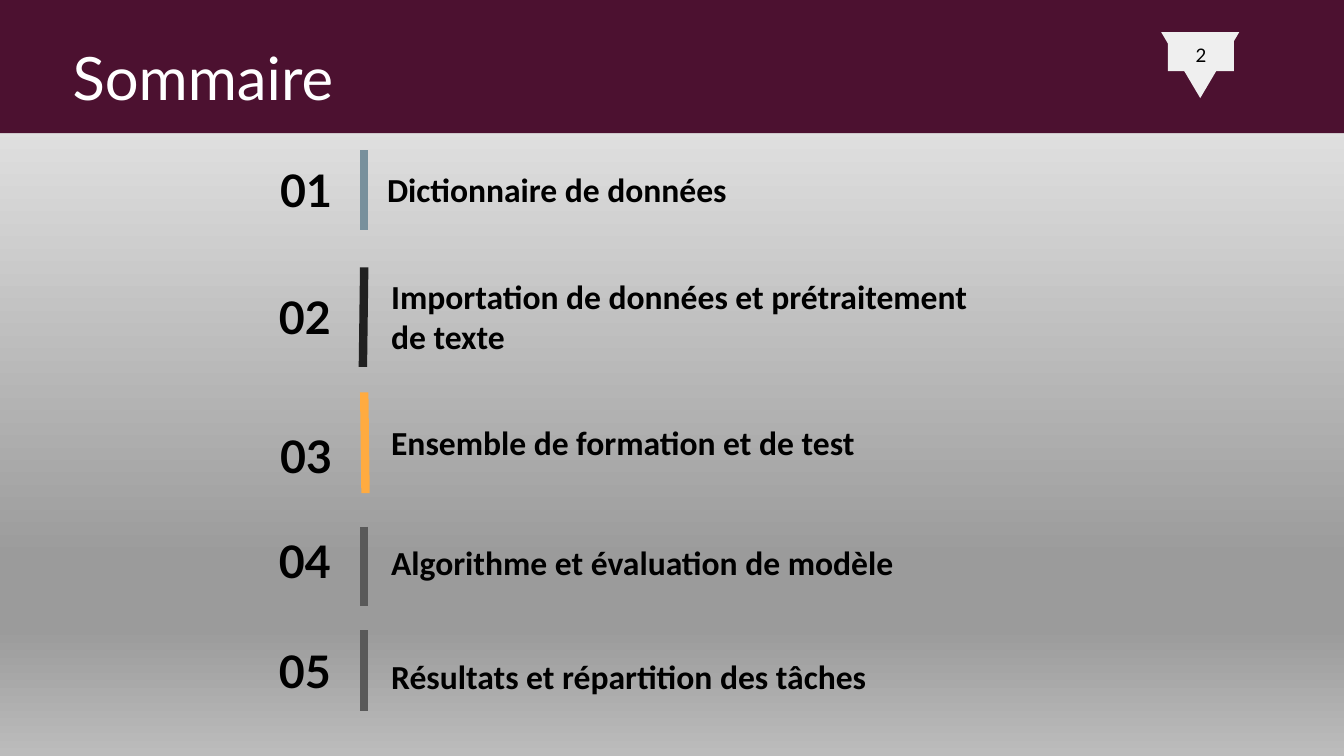
from dataclasses import dataclass

from lxml import etree
from pptx import Presentation
from pptx import util as u
from pptx.dml import color
from pptx.enum import shapes, text
from pptx.oxml import ns

BLACK, WHITE, PLUM, PALE = "000000", "FFFFFF", "4C1130", "EFEFEF"
BACKGROUND = [(0, "F4F4F4"), (74, "9B9B9B"), (83, "9B9B9B"), (100, "BCBCBC")]
PAGE_WIDTH = 10
PAGE_HEIGHT = PAGE_WIDTH * 9 / 16


@dataclass
class Box:
    left: float
    top: float
    width: float
    height: float

    def lengths(self) -> list:
        return [u.Inches(v) for v in (self.left, self.top, self.width, self.height)]


@dataclass
class Entry:
    label: str
    label_box: Box
    number_box: Box
    bar_start: tuple[float, float]
    bar_end: tuple[float, float]
    bar_color: str


ENTRIES = [
    Entry("Dictionnaire de données", Box(2.81, 1.22, 4.53, 0.39),
          Box(1.98, 1.16, 0.59, 0.5), (2.71, 1.12), (2.71, 1.71), "78909C"),
    Entry("Importation de données et prétraitement de texte", Box(2.84, 2.01, 4.7, 0.76),
          Box(1.85, 2.11, 0.71, 0.5), (2.71, 1.99), (2.7, 2.73), "212121"),
    Entry("Ensemble de formation et de test", Box(2.84, 3.1, 4.82, 0.29),
          Box(1.68, 3.14, 0.89, 0.5), (2.71, 2.92), (2.72, 3.67), "FFAB40"),
    Entry("Algorithme et évaluation de modèle", Box(2.84, 3.99, 4.7, 0.4),
          Box(1.67, 3.92, 0.89, 0.5), (2.71, 3.92), (2.71, 4.51), "595959"),
    Entry("Résultats et répartition des tâches", Box(2.84, 4.84, 5.22, 0.4),
          Box(1.67, 4.74, 0.89, 0.5), (2.71, 4.69), (2.71, 5.29), "595959"),
]


def rgb(value: str) -> color.RGBColor:
    return color.RGBColor.from_string(value)


def write(shape, content: str, font: str, size: float, fill: str = BLACK,
          bold: bool = False, align=text.PP_ALIGN.LEFT, anchor=text.MSO_ANCHOR.TOP,
          inset: tuple[float, float] = (0.1, 0.05)) -> None:
    frame = shape.text_frame
    frame.text = content
    frame.word_wrap = True
    frame.auto_size = text.MSO_AUTO_SIZE.NONE
    frame.vertical_anchor = anchor
    frame.margin_left = frame.margin_right = u.Inches(inset[0])
    frame.margin_top = frame.margin_bottom = u.Inches(inset[1])
    para = frame.paragraphs[0]
    para.alignment = align
    span = para.runs[0]
    span.font.name = font
    span.font.size = u.Pt(size)
    span.font.bold = bold
    span.font.color.rgb = rgb(fill)


def paint_background(page) -> None:
    fill = page.background.fill
    fill.gradient()
    fill.gradient_angle = 270
    stops = page.background._cSld.find(".//" + ns.qn("a:gsLst"))
    for stop in list(stops):
        stops.remove(stop)
    for percent, value in BACKGROUND:
        stop = etree.SubElement(stops, ns.qn("a:gs"), pos=str(percent * 1000))
        etree.SubElement(stop, ns.qn("a:srgbClr"), val=value)


def add_solid(page, kind, box: Box, fill: str):
    shape = page.shapes.add_shape(kind, *box.lengths())
    shape.shadow.inherit = False
    shape.fill.solid()
    shape.fill.fore_color.rgb = rgb(fill)
    shape.line.fill.background()
    return shape


def add_header(page) -> None:
    banner = add_solid(page, shapes.MSO_SHAPE.RECTANGLE, Box(-0.01, 0, 10.01, 0.99), PLUM)
    title = page.shapes.title
    title.left, title.top, title.width, title.height = Box(0.54, 0.3, 4.71, 0.31).lengths()
    write(title, "Sommaire", "Lato", 32, WHITE, inset=(0, 0))
    title._element.addprevious(banner._element)


def add_page_marker(page) -> None:
    pointer = add_solid(page, shapes.MSO_SHAPE.ISOSCELES_TRIANGLE,
                        Box(8.64, 0.24, 0.58, 0.49), PALE)
    pointer.rotation = 180
    plate = add_solid(page, shapes.MSO_SHAPE.RECTANGLE, Box(8.69, 0.25, 0.49, 0.28), PALE)
    write(plate, "2", "Lato", 10, align=text.PP_ALIGN.CENTER, anchor=text.MSO_ANCHOR.MIDDLE)
    plate.text_frame.paragraphs[0].line_spacing = 1.2


def add_entry(page, number: int, entry: Entry) -> None:
    ends = [u.Inches(v) for v in entry.bar_start + entry.bar_end]
    bar = page.shapes.add_connector(shapes.MSO_CONNECTOR.STRAIGHT, *ends)
    bar.line.color.rgb = rgb(entry.bar_color)
    bar.line.width = u.Pt(4.5)
    etree.SubElement(bar._element.spPr, ns.qn("a:effectLst"))

    label = page.shapes.add_textbox(*entry.label_box.lengths())
    write(label, entry.label, "Calibri", 18, bold=True, inset=(0.07, 0.04))

    numeral = page.shapes.add_textbox(*entry.number_box.lengths())
    write(numeral, f"{number:02}", "Lato", 24, bold=True, align=text.PP_ALIGN.RIGHT)


def main() -> None:
    deck = Presentation()
    deck.slide_width, deck.slide_height = u.Inches(PAGE_WIDTH), u.Inches(PAGE_HEIGHT)
    page = deck.slides.add_slide(deck.slide_layouts.get_by_name("Title Only"))
    paint_background(page)
    add_header(page)
    add_page_marker(page)
    for number, entry in enumerate(ENTRIES, start=1):
        add_entry(page, number, entry)
    deck.save("out.pptx")


if __name__ == "__main__":
    main()
